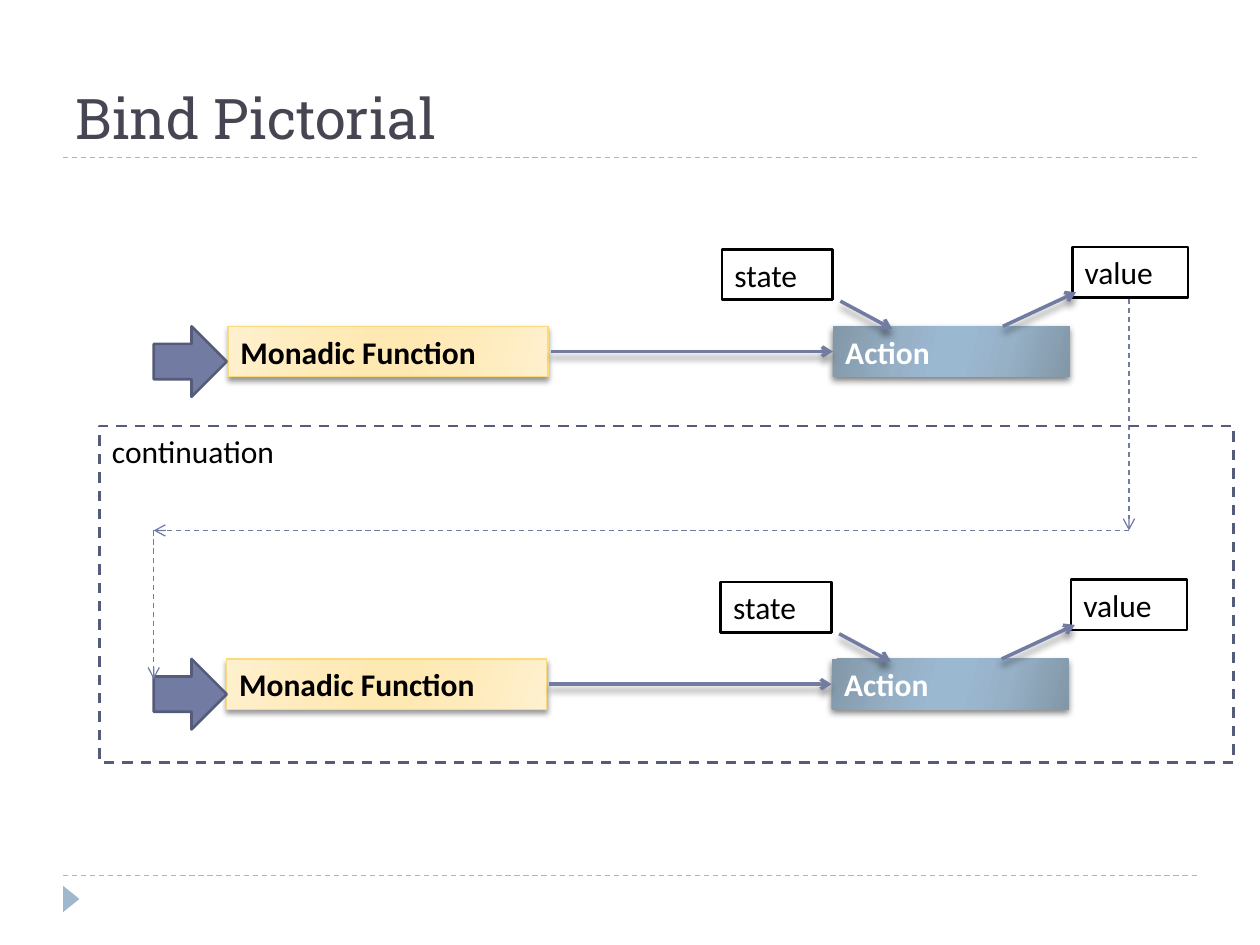
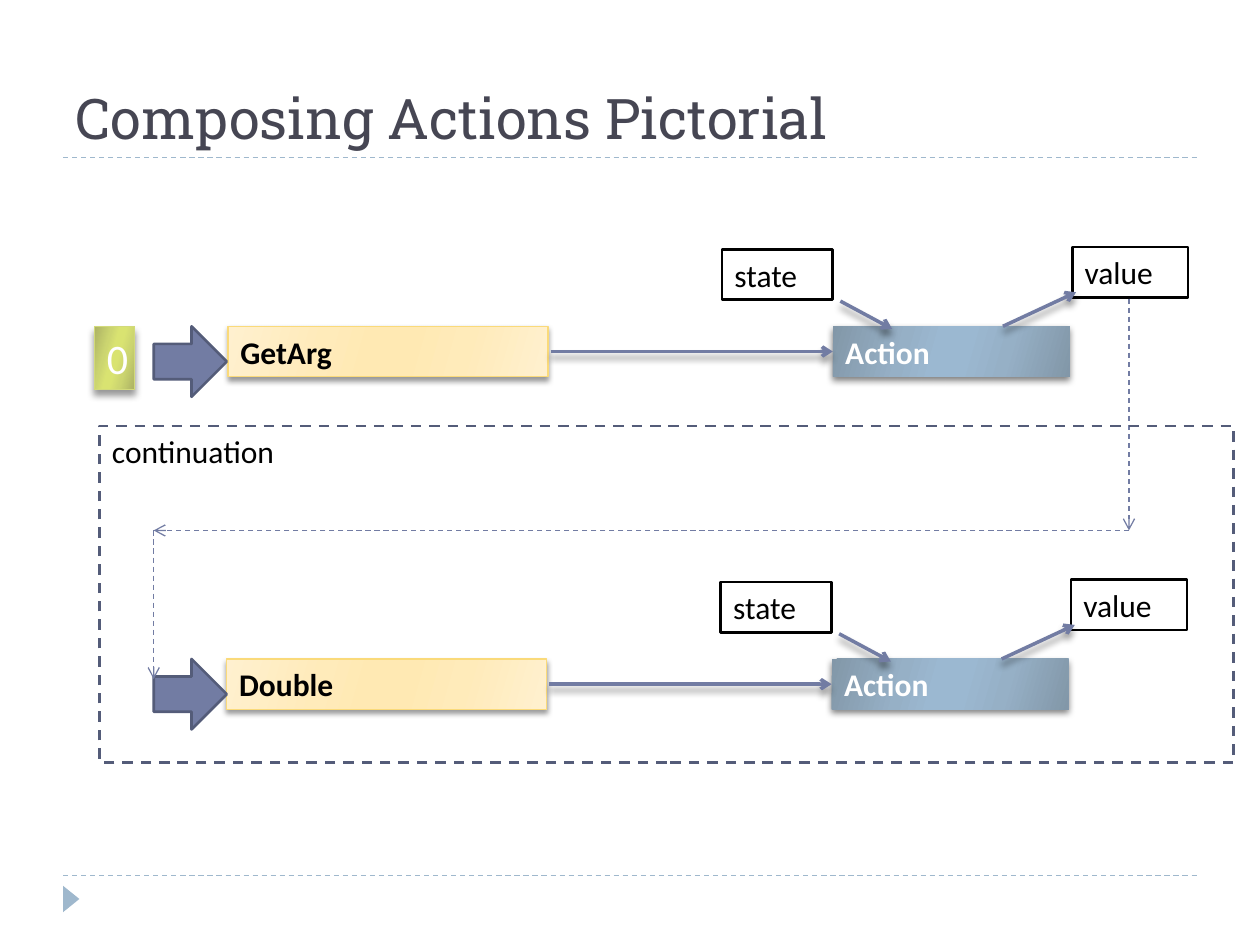
import pptx
import pptx.util
import pptx.dml.color
import pptx.enum.dml
import pptx.enum.shapes
import pptx.enum.text
import pptx.oxml
from pptx.oxml.ns import qn, nsdecls

Inches = pptx.util.Inches
SHAPE = pptx.enum.shapes.MSO_SHAPE
ANCHOR = pptx.enum.text.MSO_ANCHOR
AUTO_SIZE = pptx.enum.text.MSO_AUTO_SIZE

# Content: title, upper function, lower function, input value
SLIDES = [
    ("Bind Pictorial", "Monadic Function", "Monadic Function", None),
    ("Composing Actions Pictorial", "GetArg", "Double", "0"),
]

# Shared style
TITLE_FONT, BODY_FONT = "Roboto Slab", "Calibri"
BLACK, WHITE, INK = "000000", "FFFFFF", "464653"
ACCENT, ACCENT_DARK, RULE = "727CA3", "545C79", "9FB8CD"
CREAM = ("FFF0CF", "FFEBBA", "FFE9B3")
BLUE = ("8297A8", "96B0C6", "9BB8D1")
GREEN = ("ACB264", "CCD570", "D9E371")
# Shadows: opacity in percent, blur and distance in points
SOFT, STRONG, DEEP = (40, 3, 2), (50, 4, 2), (40, 4, 3.4)

# Upper row; the lower row repeats it at an offset
UPPER, LOWER = (0, 0), (-0.01, 2.64)
ROW_ARROWS = [
    ((6.67, 2.39), (7.08, 2.61)),   # state into action
    ((7.96, 2.59), (8.54, 2.32)),   # action to value
    ((4.37, 2.79), (6.61, 2.79)),   # function to action
]
# Path of the value into the continuation
VALUE_X, INPUT_X, TURN_Y = 8.96, 1.22, 4.21
VALUE_PATH = [
    ((VALUE_X, 2.37), (VALUE_X, TURN_Y)),
    ((INPUT_X, TURN_Y), (INPUT_X, 5.39)),
    ((VALUE_X, TURN_Y), (INPUT_X, TURN_Y)),
]


def color(value):
    return pptx.dml.color.RGBColor.from_string(value)


def style_line(line, line_color, width, dashed=False):
    line.color.rgb = color(line_color)
    line.width = pptx.util.Pt(width)
    if dashed:
        line.dash_style = pptx.enum.dml.MSO_LINE.DASH


def set_effects(shape, shadow):
    """Replace the theme's effects by one downward shadow, or by none."""
    shape_properties = shape._element.spPr
    for old in shape_properties.findall(qn("a:effectLst")):
        shape_properties.remove(old)
    content = ""
    if shadow:
        opacity, blur, distance = shadow
        content = (
            f'<a:outerShdw blurRad="{int(blur * 12700)}" dist="{int(distance * 12700)}" '
            f'dir="5400000" rotWithShape="0"><a:srgbClr val="{BLACK}">'
            f'<a:alpha val="{opacity * 1000}"/></a:srgbClr></a:outerShdw>')
    shape_properties.append(pptx.oxml.parse_xml(
        f'<a:effectLst {nsdecls("a")}>{content}</a:effectLst>'))


def set_gradient(shape, colors):
    """Mirror edge, shoulder and middle colours around the centre."""
    edge, shoulder, middle = colors
    stops = zip((0, 30, 45, 55, 73, 100),
                (edge, shoulder, middle, middle, shoulder, edge))
    stop_list = "".join(
        f'<a:gs pos="{position * 1000}"><a:srgbClr val="{stop}"/></a:gs>'
        for position, stop in stops)
    shape.fill.background()
    shape_properties = shape._element.spPr
    shape_properties.replace(
        shape_properties.find(qn("a:noFill")),
        pptx.oxml.parse_xml(
            f'<a:gradFill {nsdecls("a")} rotWithShape="1"><a:gsLst>{stop_list}</a:gsLst>'
            '<a:lin ang="960000" scaled="0"/></a:gradFill>'))


def write(shape, text, size=18, font=BODY_FONT, text_color=BLACK, bold=False,
          anchor=ANCHOR.TOP, auto_size=AUTO_SIZE.SHAPE_TO_FIT_TEXT):
    frame = shape.text_frame
    frame.word_wrap = True
    frame.auto_size = auto_size
    frame.vertical_anchor = anchor
    paragraph = frame.paragraphs[0]
    paragraph.alignment = pptx.enum.text.PP_ALIGN.LEFT
    run = paragraph.add_run()
    run.text = text
    run.font.size = pptx.util.Pt(size)
    run.font.name = font
    run.font.bold = bold
    run.font.color.rgb = color(text_color)


def add_shape(slide, place, preset=SHAPE.RECTANGLE, fill=None, line=None, shadow=None):
    shape = slide.shapes.add_shape(preset, *map(Inches, place))
    if isinstance(fill, tuple):
        set_gradient(shape, fill)
    elif fill:
        shape.fill.solid()
        shape.fill.fore_color.rgb = color(fill)
    else:
        shape.fill.background()
    if line:
        style_line(shape.line, *line)
    else:
        shape.line.fill.background()
    set_effects(shape, shadow)
    return shape


def add_line(slide, start, end, line, arrow=True, shadow=None):
    connector = slide.shapes.add_connector(
        pptx.enum.shapes.MSO_CONNECTOR.STRAIGHT, *map(Inches, start + end))
    style_line(connector.line, *line)
    if arrow:
        connector._element.spPr.find(qn("a:ln")).append(
            pptx.oxml.parse_xml(f'<a:tailEnd {nsdecls("a")} type="arrow"/>'))
    set_effects(connector, shadow)


def add_frame(slide, title):
    """Title, the two dashed rules and the footer marker."""
    placeholder = slide.shapes.title
    placeholder.left, placeholder.top, placeholder.width, placeholder.height = map(
        Inches, (0.5, 0.17, 9, 1.08))
    write(placeholder, title, size=32, font=TITLE_FONT, text_color=INK,
          anchor=ANCHOR.BOTTOM, auto_size=AUTO_SIZE.NONE)
    for y in (6.95, 1.25):
        add_line(slide, (0.5, y), (9.5, y), (RULE, 0.75, True), arrow=False)
    marker = add_shape(slide, (0.46, 7.07, 0.21, 0.13), SHAPE.ISOSCELES_TRIANGLE, fill=RULE)
    marker.rotation = 90


def add_row(slide, function_name, offset):
    """One step: input arrow, function, action, state and value."""
    dx, dy = offset

    def box(left, top, width, text, fill, line=None, shadow=None, **text_format):
        shape = add_shape(slide, (left + dx, top + dy, width, 0.4),
                          fill=fill, line=line, shadow=shadow)
        write(shape, text, **text_format)

    box(1.81, 2.59, 2.54, function_name, CREAM, ("FADA7A", 0.75), SOFT, bold=True)
    box(6.61, 2.59, 1.88, "Action", BLUE, shadow=STRONG, text_color=WHITE, bold=True)
    box(5.73, 1.98, 0.88, "state", WHITE, (BLACK, 1.5))
    box(8.51, 1.96, 0.92, "value", WHITE, (BLACK, 1.5))
    for (x1, y1), (x2, y2) in ROW_ARROWS:
        add_line(slide, (x1 + dx, y1 + dy), (x2 + dx, y2 + dy), (ACCENT, 2), shadow=DEEP)
    add_shape(slide, (INPUT_X, 2.59 + dy, 0.58, 0.56), SHAPE.RIGHT_ARROW,
              fill=ACCENT, line=(ACCENT_DARK, 1.5))


def add_continuation(slide):
    for start, end in VALUE_PATH:
        add_line(slide, start, end, (ACCENT, 0.75, True))
    add_shape(slide, (0.79, 3.38, 9, 2.67), line=(ACCENT_DARK, 1.5, True))
    label = slide.shapes.add_textbox(*map(Inches, (0.79, 3.38, 2.58, 0.4)))
    write(label, "continuation")


# Build the slides
presentation = pptx.Presentation()
presentation.slide_width, presentation.slide_height = Inches(10), Inches(7.5)
title_only = presentation.slide_layouts[5]

for title, upper_function, lower_function, input_value in SLIDES:
    slide = presentation.slides.add_slide(title_only)
    add_frame(slide, title)
    add_row(slide, lower_function, LOWER)
    add_row(slide, upper_function, UPPER)
    add_continuation(slide)
    if input_value:
        input_box = add_shape(slide, (0.75, 2.59, 0.32, 0.5), fill=GREEN,
                              line=("D2DA7A", 0.75), shadow=DEEP)
        write(input_box, input_value, size=24, text_color=WHITE)

presentation.save("out.pptx")
